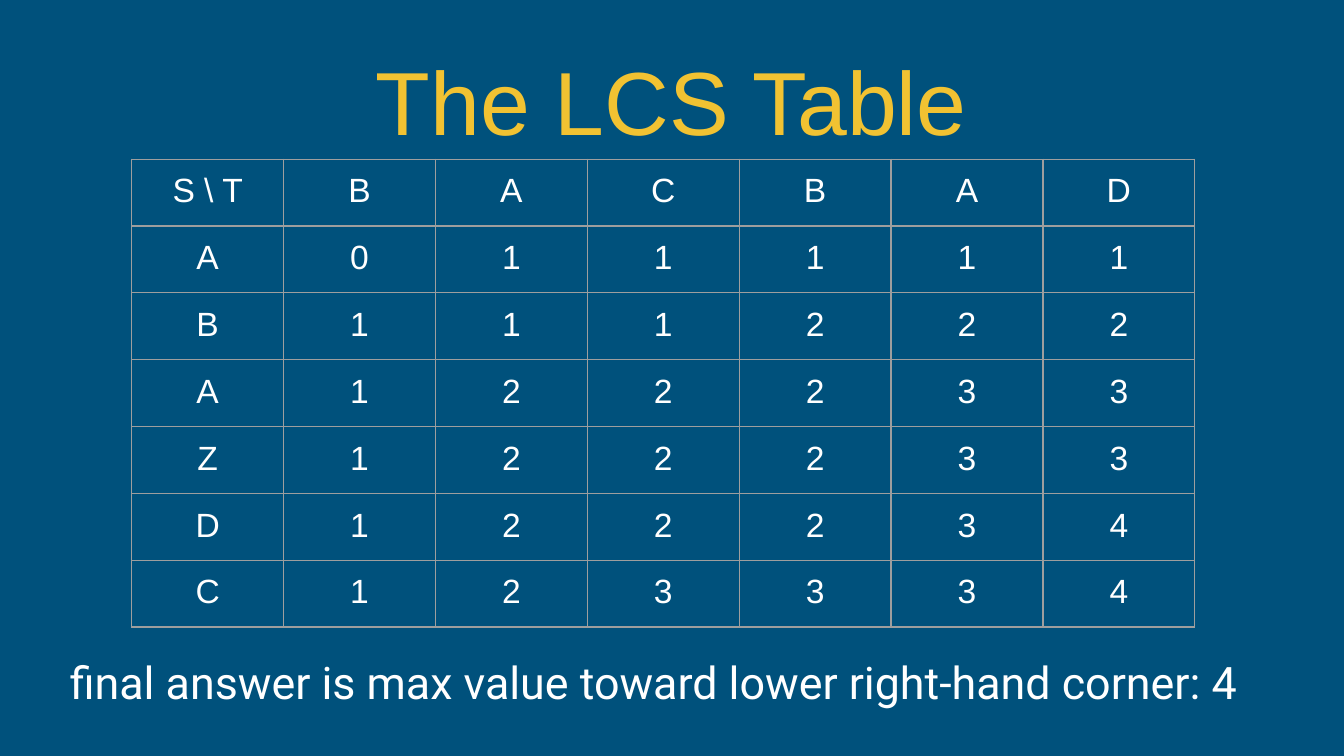
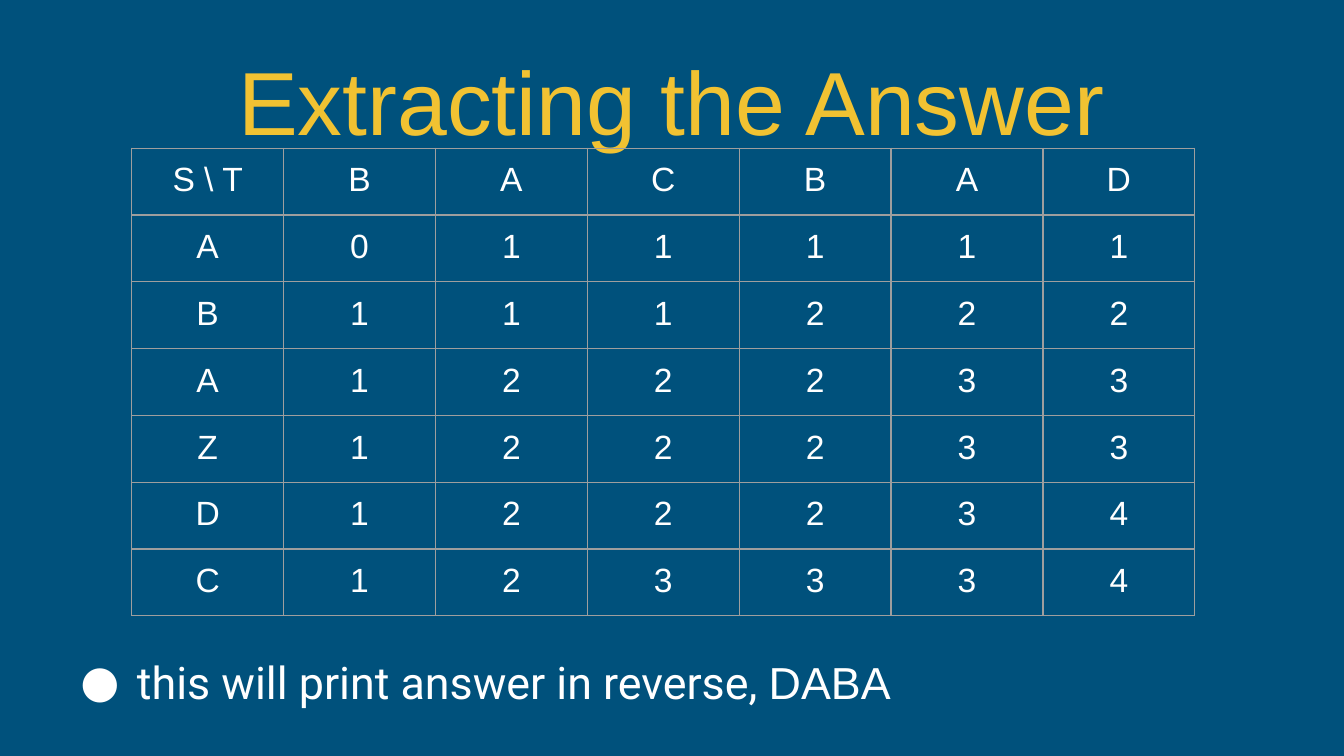
from collections import namedtuple

from lxml import etree
from pptx import Presentation
from pptx.dml.color import RGBColor
from pptx.enum.text import MSO_ANCHOR, PP_ALIGN
from pptx.oxml.ns import qn
from pptx.util import Cm, Pt

CENTER, LEFT = PP_ALIGN.CENTER, PP_ALIGN.LEFT
BOTTOM = MSO_ANCHOR.BOTTOM

NAVY = RGBColor(0x00, 0x51, 0x7C)
GOLD = RGBColor(0xF1, 0xC2, 0x32)
WHITE = RGBColor(0xFF, 0xFF, 0xFF)
GREY = RGBColor(0x9E, 0x9E, 0x9E)
SANS, BODY_FONT = "Arial", "Roboto"

Box = namedtuple("Box", "left top width height")
TITLE_BOX = Box(Cm(1.07), Cm(0.43), Cm(23.24), Cm(2.72))
BODY_BOX = Box(Cm(1.07), Cm(2.51), Cm(23.24), Cm(11.43))
TABLE_LEFT, TABLE_SIDE = Cm(2.49), Cm(2.87)
ROW_HEIGHT = Cm(1.07)
INSET = Cm(0.25)
NOTE_INSET = Cm(0.54)

FIRST_WORD, SECOND_WORD = "ABAZDC", "BACBAD"
LCS_LENGTHS = ["011111", "111222", "122233", "122233", "122234", "123334"]
LCS_ROWS = [["S \\ T", *SECOND_WORD]] + [
    [letter, *lengths] for letter, lengths in zip(FIRST_WORD, LCS_LENGTHS)]


def write(para, text, *, size, font=SANS, color=WHITE, align=LEFT):
    """Append a formatted span to a paragraph."""
    para.alignment = align
    span = para.add_run()
    span.text = text
    span.font.size = Pt(size)
    span.font.name = font
    span.font.color.rgb = color


def add_text_box(page, box, bottom_inset=INSET):
    """Add a bottom-anchored text box and return its paragraph."""
    frame = page.shapes.add_textbox(*box).text_frame
    frame.word_wrap = True
    frame.vertical_anchor = BOTTOM
    frame.margin_left = frame.margin_right = frame.margin_top = INSET
    frame.margin_bottom = bottom_inset
    return frame.paragraphs[0]


def set_bullet(para):
    props = para._p.get_or_add_pPr()
    props.set("marL", str(Cm(1.27)))
    props.set("indent", str(Cm(-1.07)))
    color = etree.SubElement(props, qn("a:buClr"))
    etree.SubElement(color, qn("a:srgbClr"), val=str(WHITE))
    etree.SubElement(props, qn("a:buFont"), typeface=BODY_FONT)
    etree.SubElement(props, qn("a:buChar"), char="●")


def set_borders(cell):
    props = cell._tc.get_or_add_tcPr()
    for side in ("a:lnL", "a:lnR", "a:lnT", "a:lnB"):
        line = etree.SubElement(props, qn(side), w=str(Pt(0.75)))
        fill = etree.SubElement(line, qn("a:solidFill"))
        etree.SubElement(fill, qn("a:srgbClr"), val=str(GREY))


def add_title(page, box, title):
    write(add_text_box(page, box), title, size=48, color=GOLD, align=CENTER)


def add_note(page, box, spans, bulleted):
    """Add the closing line at the foot of the body area."""
    para = add_text_box(page, box, NOTE_INSET)
    if bulleted:
        set_bullet(para)
    for text, font in spans:
        write(para, text, size=24, font=font)


def add_lcs_table(page, box):
    count_rows, count_columns = len(LCS_ROWS), len(LCS_ROWS[0])
    table = page.shapes.add_table(count_rows, count_columns, *box).table
    table.first_row = table.horz_banding = False
    for column in table.columns:
        column.width = box.width // count_columns
    for row, values in zip(table.rows, LCS_ROWS):
        row.height = box.height // count_rows
        for cell, value in zip(row.cells, values):
            set_borders(cell)
            cell.fill.background()
            cell.margin_left = cell.margin_right = INSET
            cell.margin_top = cell.margin_bottom = INSET
            write(cell.text_frame.paragraphs[0], value, size=18, align=CENTER)


def add_page(deck, title, note, table_top, bulleted=False):
    page = deck.slides.add_slide(deck.slide_layouts[6])
    page.background.fill.solid()
    page.background.fill.fore_color.rgb = NAVY
    add_title(page, TITLE_BOX, title)
    add_note(page, BODY_BOX, note, bulleted)
    add_lcs_table(page, Box(TABLE_LEFT, table_top,
                            TABLE_SIDE * len(LCS_ROWS[0]),
                            ROW_HEIGHT * len(LCS_ROWS)))


def main():
    deck = Presentation()
    deck.slide_width, deck.slide_height = Cm(25.4), Cm(14.29)
    add_page(deck, "The LCS Table",
             [("final answer is max value toward lower right-hand corner: 4",
               BODY_FONT)], Cm(3.01))
    add_page(deck, "Extracting the Answer",
             [("this will print answer in reverse, ", BODY_FONT),
              ("DABA", SANS)], Cm(2.8), bulleted=True)
    deck.save("out.pptx")


if __name__ == "__main__":
    main()
